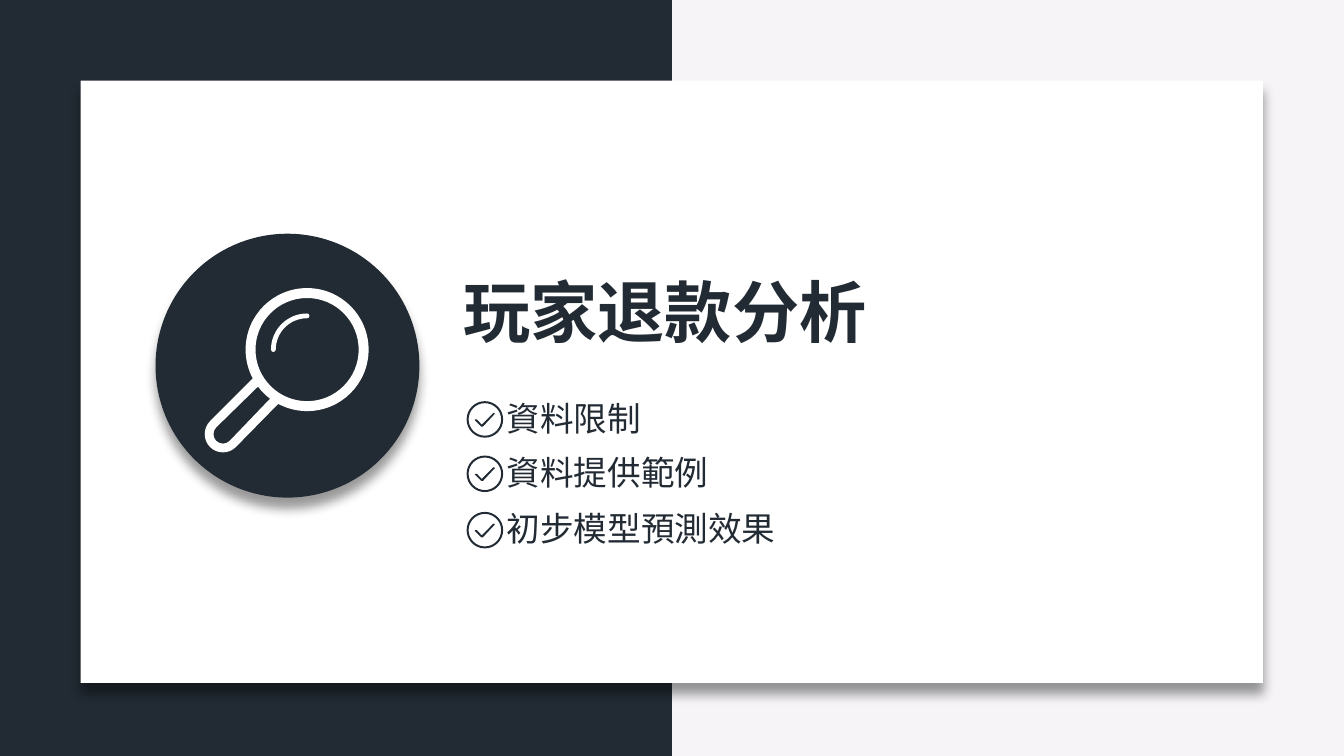
from math import ceil, cos, floor, radians, sin, tan

from lxml import etree
from pptx import Presentation
from pptx.dml.color import RGBColor
from pptx.enum.shapes import MSO_SHAPE as Shape
from pptx.enum.text import MSO_AUTO_SIZE as AutoSize
from pptx.oxml import parse_xml
from pptx.oxml.ns import qn
from pptx.util import Cm, Pt

COLORS = {"ink": "222B34", "paper": "FFFFFF", "backdrop": "F6F4F7"}
FONT = "Noto Sans CJK SC"
WIDTH, HEIGHT = 33.87, 19.05
SHADOW = (
    '<a:effectLst xmlns:a="http://schemas.openxmlformats.org/drawingml/2006/main">'
    f'<a:outerShdw blurRad="{Pt(8)}" dist="{Pt(8)}" dir="5400000" algn="t" rotWithShape="0">'
    '<a:srgbClr val="000000"><a:alpha val="40000"/></a:srgbClr>'
    "</a:outerShdw></a:effectLst>"
)
TICK = [(-0.25, 0.02), (-0.25, 0), (-0.2, 0), (-0.08, 0.13), (0.2, -0.15),
        (0.23, -0.17), (0.25, -0.14), (-0.05, 0.18), (-0.09, 0.18)]
TOPICS = [("資料限制", 10.57, 3.96), ("資料提供範例", 11.94, 5.64),
          ("初步模型預測效果", 13.36, 7.34)]


def arc(center, radius, start, end):
    """Start point, then one cubic curve per quadrant; degrees clockwise from the right."""
    low, high = sorted((start, end))
    quadrants = [90 * i for i in range(floor(low / 90) + 1, ceil(high / 90))]
    stops = sorted([low, *quadrants, high], reverse=end < start)

    def point(angle, tangent=0):
        a = radians(angle)
        return (center[0] + radius * (cos(a) - tangent * sin(a)),
                center[1] + radius * (sin(a) + tangent * cos(a)))

    segments = [(point(start),)]
    for first, last in zip(stops, stops[1:]):
        pull = 4 / 3 * tan(radians(last - first) / 4)
        segments.append((point(first, pull), point(last, -pull), point(last)))
    return segments


def color(name):
    return RGBColor.from_string(COLORS[name])


def style_span(span, text, size, bold=False, fill="ink"):
    span.text = text
    font = span.font
    font.size, font.bold, font.name = Pt(size), bold, FONT
    font.color.rgb = color(fill)
    etree.SubElement(font._element, qn("a:ea"), typeface=FONT)


def bend(shape, segments):
    """Turn each three-point segment of a freeform into a cubic curve."""
    lines = iter(list(shape._element.iter(qn("a:lnTo"))))
    for segment in segments:
        curve, *controls = [next(lines) for _ in segment]
        if controls:
            curve.tag = qn("a:cubicBezTo")
        for control in controls:
            curve.append(control[0])
            control.getparent().remove(control)


class SlideBuilder:
    def __init__(self, page):
        self.page = page
        page.background.fill.solid()
        page.background.fill.fore_color.rgb = color("backdrop")

    def paint(self, shape, fill):
        shape.shadow.inherit = False
        shape.fill.solid()
        shape.fill.fore_color.rgb = color(fill)
        shape.line.fill.background()

    def block(self, kind, left, top, width, height, fill, shadow=False):
        shape = self.page.shapes.add_shape(kind, Cm(left), Cm(top), Cm(width), Cm(height))
        self.paint(shape, fill)
        if shadow:
            properties = shape._element.spPr
            properties.replace(properties.find(qn("a:effectLst")), parse_xml(SHADOW))

    def outline(self, group, contours, fill):
        """Fill closed contours as one freeform; inner contours become holes."""
        builder, drawn = None, []
        for (start,), *segments in contours:
            x, y = (Cm(length) for length in start)
            if builder is None:
                builder = group.shapes.build_freeform(x, y, scale=1.0)
            else:
                builder.move_to(x, y)
            points = [(Cm(px), Cm(py)) for segment in segments for px, py in segment]
            builder.add_line_segments(points, close=True)
            drawn += segments
        shape = builder.convert_to_shape()
        bend(shape, drawn)
        self.paint(shape, fill)

    def text(self, text, left, top, width, height, **style):
        box = self.page.shapes.add_textbox(Cm(left), Cm(top), Cm(width), Cm(height))
        frame = box.text_frame
        frame.word_wrap = False
        frame.auto_size = AutoSize.SHAPE_TO_FIT_TEXT
        style_span(frame.paragraphs[0].add_run(), text, **style)

    def magnifier(self, lens, tip):
        group = self.page.shapes.add_group_shape()
        glass = arc(lens, 1.3, 0, 360)
        handle_hole = arc(tip, 0.24, 45, 225) + arc(lens, 1.55, 143, 127)
        rim = arc(lens, 1.55, 152, 478) + arc(tip, 0.46, 45, 225)
        self.outline(group, [glass, handle_hole, rim], "paper")
        x, y = lens
        glint = (arc(lens, 0.91, 180, 270) + arc((x, y - 0.85), 0.06, 270, 450)[1:]
                 + arc(lens, 0.79, 270, 180)[1:] + arc((x - 0.85, y), 0.06, 0, 180)[1:])
        self.outline(group, [glint], "paper")

    def check_mark(self, x, y):
        group = self.page.shapes.add_group_shape()
        self.outline(group, [arc((x, y), 0.46, 0, 360), arc((x, y), 0.41, 360, 0)], "ink")
        self.outline(group, [[((x + dx, y + dy),) for dx, dy in TICK]], "ink")


def main():
    deck = Presentation()
    deck.slide_width, deck.slide_height = Cm(WIDTH), Cm(HEIGHT)
    slide = SlideBuilder(deck.slides.add_slide(deck.slide_layouts[6]))
    slide.block(Shape.RECTANGLE, 0, 0, WIDTH / 2, HEIGHT, "ink")
    slide.block(Shape.RECTANGLE, 2.03, 2.03, 29.8, 15.18, "paper", shadow=True)
    slide.block(Shape.OVAL, 3.92, 5.89, 6.65, 6.65, "ink", shadow=True)
    slide.text("玩家退款分析", 11.43, 6.7, 10.77, 2.31, size=48, bold=True)
    slide.magnifier(lens=(7.74, 8.81), tip=(5.62, 10.94))
    for topic, middle, width in TOPICS:
        slide.check_mark(12.22, middle)
        slide.text(topic, 12.52, middle - 0.68, width, 1.28, size=24)
    deck.save("out.pptx")


if __name__ == "__main__":
    main()
